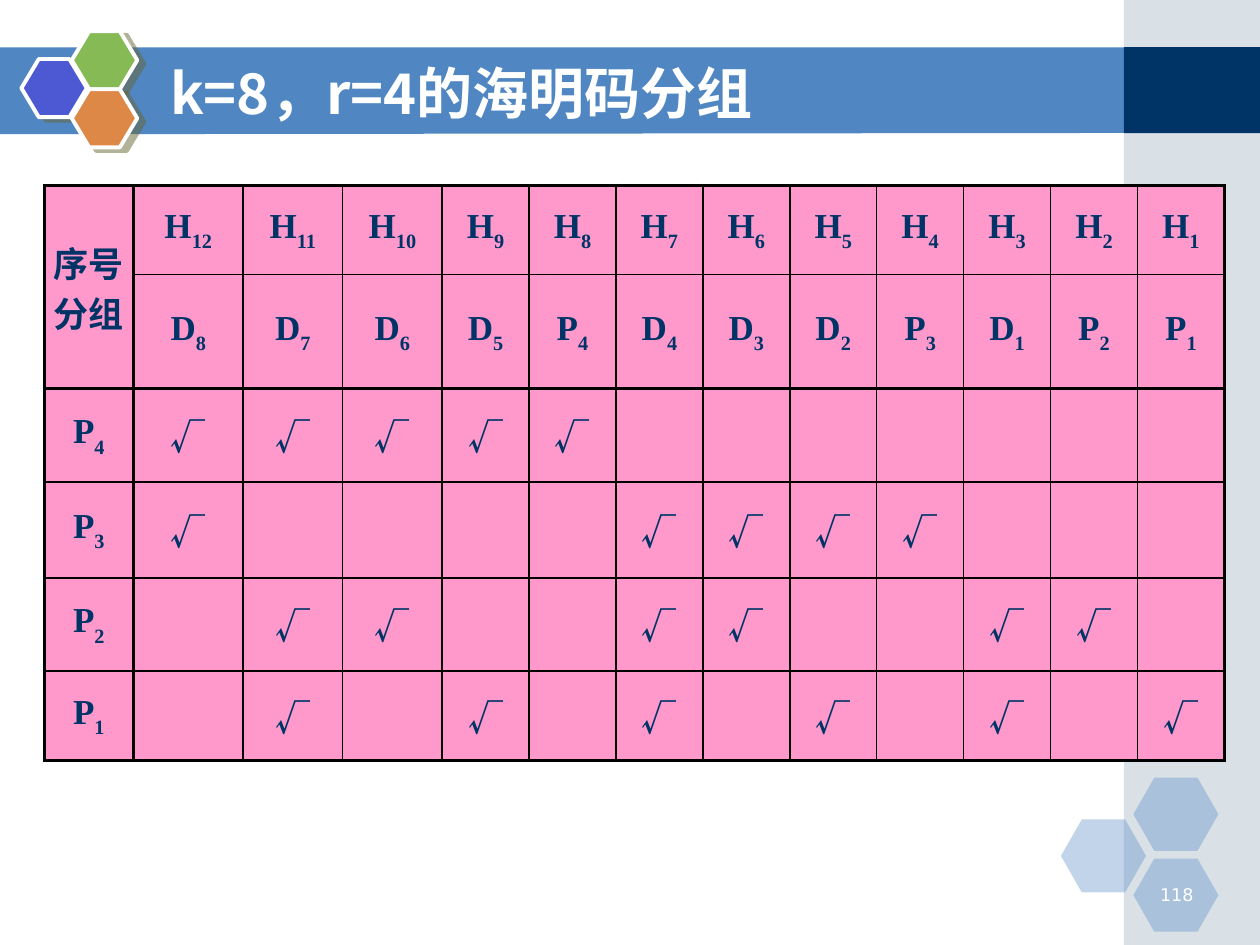
from lxml import etree
from pptx import Presentation
from pptx.dml.color import RGBColor
from pptx.enum.shapes import MSO_SHAPE
from pptx.enum.text import MSO_ANCHOR, MSO_AUTO_SIZE, PP_ALIGN
from pptx.oxml.ns import qn
from pptx.util import Inches, Pt

RECT, HEX = MSO_SHAPE.RECTANGLE, MSO_SHAPE.HEXAGON
MID, FIXED = MSO_ANCHOR.MIDDLE, MSO_AUTO_SIZE.NONE
LEFT, MIDDLE, RIGHT = PP_ALIGN.LEFT, PP_ALIGN.CENTER, PP_ALIGN.RIGHT
PAGE = (0, 0, 10, 7.5)
SANS, SERIF = "Noto Sans CJK SC", "Times New Roman"
BLUE, NAVY, WHITE, PINK = "5086C2", "003366", "FFFFFF", "FF99CC"

HEAD = {"size": Pt(32), "name": SANS, "bold": True}
CELL = {"size": Pt(20), "name": SERIF, "bold": True}
MARK = CELL | {"name": SANS}
NUMBER = {"size": Pt(10), "name": "DejaVu Sans"}

BITS = 12
CHECKS = (4, 3, 2, 1)
COLS = [0.71, 0.87, 0.79, 0.79] + [0.69] * 9
ROWS = [0.71, 0.68, 0.74, 0.76, 0.74, 0.71]


def color(value):
    return RGBColor.from_string(value)


def part(box, x, y, w, h):
    """Box that takes the given shares of an outer box."""
    left, top, wide, high = box
    return left + x * wide, top + y * high, w * wide, h * high


def units(box):
    return [Inches(v) for v in box]


def node(parent, tag, **attrs):
    return etree.SubElement(parent, qn("a:" + tag), attrs)


def paint(shape, fill, alpha=None):
    shape.shadow.inherit = False
    shape.fill.solid()
    shape.fill.fore_color.rgb = color(fill)
    shape.line.fill.background()
    if alpha:
        tint = next(shape.fill._xPr.iter(qn("a:srgbClr")))
        node(tint, "alpha", val=str(alpha * 1000))


def write(para, text, look, ink, base=0):
    run = para.add_run()
    run.text = text
    for name, value in look.items():
        setattr(run.font, name, value)
    run.font.color.rgb = color(ink)
    props = run.font._element
    node(props, "ea", typeface=SANS)
    if base:
        props.set("baseline", str(base * 1000))


def cast(shape):
    """Hard olive shadow to the lower right."""
    effects = shape._element.spPr.find(qn("a:effectLst"))
    drop = node(effects, "outerShdw", blurRad="0", dist=str(Pt(4.5)),
                dir=str(27 * 60000), algn="ctr", rotWithShape="0")
    node(node(drop, "srgbClr", val="666633"), "alpha", val="50000")


def comb(shapes, box, size, spots, fills, bend, alpha=None, edge=False):
    """Cluster of hexagons, with size and spots as shares of the box."""
    for spot, fill in zip(spots, fills):
        hexa = shapes.add_shape(HEX, *units(part(box, *spot, *size)))
        hexa.adjustments[0] = bend
        paint(hexa, fill, alpha)
        if edge:
            hexa.line.color.rgb = color(WHITE)
            hexa.line.width = Pt(2.25)
            cast(hexa)


def frame(shapes, box):
    """Title band, side strip and both hexagon clusters."""
    x, y, w, h = part(box, -0.001, 0.05, 0.896, 0.092)
    pen = shapes.build_freeform(Inches(x), Inches(y), 1.0)
    pen.add_line_segments([units(p) for p in
                           ((x + w, y), (x + w, y + h - 0.01), (x, y + h))])
    paint(pen.convert_to_shape(), BLUE)
    side = part(box, 0.892, 0, 0.108, 1)
    paint(shapes.add_shape(RECT, *units(side)), "A0B5C4", 40)
    paint(shapes.add_shape(RECT, *units(part(side, 0, 0.05, 1, 0.091))), NAVY)
    comb(shapes, part(box, 0.842, 0.823, 0.125, 0.163), (0.54, 0.475),
         ((0, 0.27), (0.46, 0), (0.46, 0.525)), [BLUE] * 3, 0.286, alpha=35)
    comb(shapes.add_group_shape().shapes,
         part(box, 0.017, 0.033, 0.092, 0.123), (0.565, 0.5),
         ((0, 0.24), (0.435, 0), (0.435, 0.5)),
         ("4C59D2", "85BA54", "DE8848"), 0.3, edge=True)


def title(slide, box, text):
    head = slide.shapes.title
    slide.shapes._spTree.append(head._element)
    head.left, head.top, head.width, head.height = units(box)
    body = head.text_frame
    body.auto_size, body.vertical_anchor, body.word_wrap = FIXED, MID, True
    para = body.paragraphs[0]
    para.alignment = LEFT
    write(para, text, HEAD, WHITE)


def number(shapes, box, text):
    body = shapes.add_textbox(*units(box)).text_frame
    body.word_wrap = True
    para = body.paragraphs[0]
    para.alignment = RIGHT
    write(para, text, NUMBER, WHITE)


def border(cell, row, col):
    """Heavy rules around the table and its headings, thin ones elsewhere."""
    end = row + (cell.span_height if cell.is_merge_origin else 1)
    heavy = {"lnL": col in (0, 1), "lnR": col + 1 in (1, len(COLS)),
             "lnT": row in (0, 2), "lnB": end in (2, len(ROWS))}
    props = cell._tc.get_or_add_tcPr()
    for side, bold in heavy.items():
        line = node(props, side, w=str(Pt(2 if bold else 1)))
        node(node(line, "solidFill"), "srgbClr", val="000000")


def label(cell, letter, index):
    para = cell.text_frame.paragraphs[0]
    write(para, letter, CELL, NAVY)
    write(para, str(index), CELL, NAVY, -30)


def coding(shapes, box):
    """Hamming groups: each check bit covers the positions with its bit set."""
    grid = shapes.add_table(len(ROWS), len(COLS), *units(box)).table
    grid.first_row = grid.horz_banding = False
    for col, wide in zip(grid.columns, COLS):
        col.width = Inches(wide)
    for row, high in zip(grid.rows, ROWS):
        row.height = Inches(high)
    corner = grid.cell(0, 0)
    corner.merge(grid.cell(1, 0))
    corner.margin_left = corner.margin_right = 0
    write(corner.text_frame.paragraphs[0], "序号", CELL, NAVY)
    write(corner.text_frame.add_paragraph(), "分组", CELL, NAVY)

    data = BITS - len(CHECKS)
    for col in range(1, BITS + 1):
        pos = BITS + 1 - col
        label(grid.cell(0, col), "H", pos)
        if pos & (pos - 1) == 0:
            label(grid.cell(1, col), "P", pos.bit_length())
        else:
            label(grid.cell(1, col), "D", data)
            data -= 1
        for row, check in enumerate(CHECKS, 2):
            if pos >> (check - 1) & 1:
                write(grid.cell(row, col).text_frame.paragraphs[0], "√", MARK, NAVY)
    for row, check in enumerate(CHECKS, 2):
        label(grid.cell(row, 0), "P", check)

    for row in range(len(ROWS)):
        for col in range(len(COLS)):
            cell = grid.cell(row, col)
            border(cell, row, col)
            cell.fill.solid()
            cell.fill.fore_color.rgb = color(PINK)
            cell.vertical_anchor = MID
            for para in cell.text_frame.paragraphs:
                para.alignment = MIDDLE


def main():
    deck = Presentation()
    deck.slide_width, deck.slide_height = units(PAGE[2:])
    slide = deck.slides.add_slide(deck.slide_layouts[5])
    frame(slide.shapes, PAGE)
    number(slide.shapes, part(PAGE, 0.907, 0.929, 0.05, 0.033), "118")
    title(slide, part(PAGE, 0.125, 0.056, 0.733, 0.083), "k=8，r=4的海明码分组")
    coding(slide.shapes, part(PAGE, 0.035, 0.196, 0.937, 0.577))
    deck.save("out.pptx")


if __name__ == "__main__":
    main()
